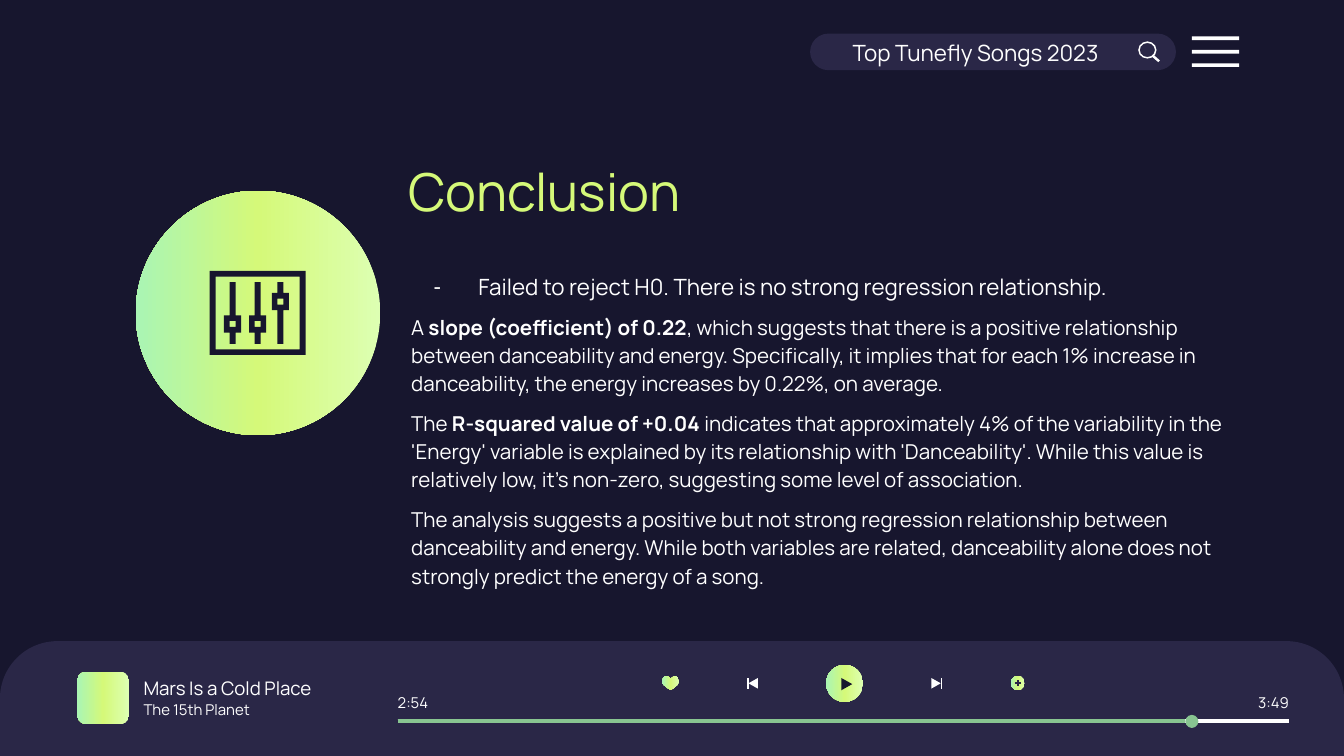
"""Build the conclusion slide styled as a music player."""
from copy import deepcopy

from lxml import etree
from pptx import Presentation
from pptx.dml.color import RGBColor
from pptx.enum.shapes import MSO_CONNECTOR, MSO_SHAPE
from pptx.enum.text import MSO_ANCHOR, MSO_AUTO_SIZE, PP_ALIGN
from pptx.oxml.ns import qn
from pptx.util import Pt

NIGHT = RGBColor(0x17, 0x16, 0x2E)
PANEL = RGBColor(0x2A, 0x27, 0x47)
WHITE = RGBColor(0xFF, 0xFF, 0xFF)
LIME = RGBColor(0xD5, 0xF9, 0x79)
GREEN = RGBColor(0x88, 0xC5, 0x91)
GRADIENT = [(0, RGBColor(0xDD, 0xFF, 0xB2)), (0.5, LIME), (1, RGBColor(0xA9, 0xF5, 0xB4))]
FONT = "Manrope"
RECTANGLE, ROUNDED, OVAL = MSO_SHAPE.RECTANGLE, MSO_SHAPE.ROUNDED_RECTANGLE, MSO_SHAPE.OVAL
TOP_ROUNDED, DONUT = MSO_SHAPE.ROUND_2_SAME_RECTANGLE, MSO_SHAPE.DONUT
STRAIGHT = MSO_CONNECTOR.STRAIGHT
LEFT, CENTER, RIGHT = PP_ALIGN.LEFT, PP_ALIGN.CENTER, PP_ALIGN.RIGHT
TOP, MIDDLE = MSO_ANCHOR.TOP, MSO_ANCHOR.MIDDLE
NO_FIT = MSO_AUTO_SIZE.NONE

deck = Presentation()
deck.slide_width, deck.slide_height = Pt(720), Pt(405)
page = deck.slides.add_slide(deck.slide_layouts[3])
page.background.fill.solid()
page.background.fill.fore_color.rgb = NIGHT


def paint(shape, color):
    """Fill a shape with a colour, or with the gradient when color is GRADIENT."""
    shape.shadow.inherit = False
    shape.line.fill.background()
    if color is not GRADIENT:
        shape.fill.solid()
        shape.fill.fore_color.rgb = color
        return
    shape.fill.gradient()
    stops = shape.element.spPr.find(".//" + qn("a:gsLst"))
    stops.insert(1, deepcopy(stops[0]))
    for stop, (position, stop_color) in zip(shape.fill.gradient_stops, GRADIENT):
        stop.position = position
        stop.color.rgb = stop_color
    shape.fill.gradient_angle = 180


def outline(contours, color):
    """Draw closed contours, given in points, as one filled shape."""
    builder = None
    for contour in contours:
        start, *rest = [(Pt(x), Pt(y)) for x, y in contour]
        if builder is None:
            builder = page.shapes.build_freeform(*start, scale=1)
        else:
            builder.move_to(*start)
        builder.add_line_segments(rest, close=True)
    paint(builder.convert_to_shape(), color)


presets = [
    (ROUNDED, (434, 18, 196, 19.6), [0.5], PANEL),
    (DONUT, (609.8, 22.2, 9.8, 9.2), [0.09], WHITE),
    (TOP_ROUNDED, (0, 343.5, 720, 61.5), [0.5, 0], PANEL),
    (ROUNDED, (41.4, 360, 27.8, 27.8), [0.167], GRADIENT),
    (OVAL, (541.5, 362.2, 7.5, 7.5), [], GRADIENT),
    (OVAL, (442.6, 356.2, 19.8, 19.8), [], GRADIENT),
    (OVAL, (72.7, 102.2, 131, 131), [], GRADIENT),
]
presets += [(RECTANGLE, (638.5, 19.5 + 7.2 * row, 25.4, 2), [], WHITE) for row in range(3)]
for kind, bounds, adjustments, color in presets:
    shape = page.shapes.add_shape(kind, *map(Pt, bounds))
    for index, value in enumerate(adjustments):
        shape.adjustments[index] = value
    paint(shape, color)

outline([[(618, 29.4), (617, 30.3), (620.5, 33.3), (621.4, 32.4)]], WHITE)
outline([[(450.7, 363.2), (450.7, 369.8), (456.6, 366.5)]], NIGHT)

half_heart = [(0, 1.5), (1.4, 0.3), (2.6, 0), (3.9, 0.8), (4.5, 2.3), (4.4, 3.9),
              (3.5, 4.9), (1.9, 6.2), (0, 7.4)]
heart = half_heart + [(-x, y) for x, y in half_heart[-2:0:-1]]
outline([[(359.3 + x, 362.2 + y) for x, y in heart]], GRADIENT)

for bar, base, tip in [(504.4, 499, 504), (400.8, 406, 401)]:
    outline([[(base, 363.3), (base, 368.9), (tip, 366.1)]], WHITE)
    outline([[(bar - 0.5, 363.3), (bar - 0.5, 368.9), (bar + 0.5, 368.9), (bar + 0.5, 363.3)]], WHITE)

outline([[(112.4, 145.2), (163.7, 145.2), (163.7, 190.2), (112.4, 190.2)],
         [(115.5, 148.2), (115.5, 187.2), (160.6, 187.2), (160.6, 148.2)]], NIGHT)
stem, knob = 1.6, 4.6
for x, y in [(124.6, 173.6), (138, 173.6), (150.2, 161.6)]:
    right = [(x + stem, 151.2), (x + stem, y - knob), (x + knob, y - knob),
             (x + knob, y + knob), (x + stem, y + knob), (x + stem, 184.3)]
    left = [(2 * x - side, level) for side, level in reversed(right)]
    hole = [(x - stem, y - stem), (x - stem, y + stem), (x + stem, y + stem), (x + stem, y - stem)]
    outline([right + left, hole], NIGHT)

for ends, color, width in [
    ((545.3, 364.4, 545.3, 367.5), PANEL, 0.75),
    ((543.7, 366, 546.9, 366), PANEL, 0.75),
    ((213.1, 386.5, 690.5, 386.5), WHITE, 2.25),
    ((213.1, 386.5, 635, 386.5), GREEN, 2.25),
]:
    line = page.shapes.add_connector(STRAIGHT, *map(Pt, ends))
    line.line.color.rgb = color
    line.line.width = Pt(width)
    etree.SubElement(line.element.spPr, qn("a:effectLst"))
paint(page.shapes.add_shape(OVAL, Pt(635), Pt(383), Pt(7), Pt(7)), GREEN)

for bounds, text, size, side_inset, align in [
    ((69.8, 362.4, 137.5, 12.2), "Mars Is a Cold Place", 10, 7.2, LEFT),
    ((69.8, 373.9, 82.8, 12.2), "The 15th Planet", 8, 7.2, LEFT),
    ((213.1, 370.3, 19.4, 12.2), "2:54", 8, 0, LEFT),
    ((671.1, 370.3, 19.4, 12.2), "3:49", 8, 0, RIGHT),
]:
    frame = page.shapes.add_textbox(*map(Pt, bounds)).text_frame
    frame.word_wrap = True
    frame.vertical_anchor = MIDDLE
    frame.margin_left = frame.margin_right = Pt(side_inset)
    frame.margin_top = frame.margin_bottom = Pt(7.2)
    para = frame.paragraphs[0]
    para.alignment = align
    span = para.add_run()
    span.text = text
    span.font.name, span.font.size, span.font.color.rgb = FONT, Pt(size), WHITE

title_paras = [(28, 1, 0, 0, None, ["Conclusion"])]
header_paras = [(12, 1.15, 36, 0, None, ["Top Tunefly Songs 2023"])]
body_paras = [
    (12, 2, 36, -24, "-", ["Failed to reject H0. There is no strong regression relationship."]),
    (11, 1.15, 0, 0, None, [
        "A ", "slope (coefficient) of 0.22",
        ", which suggests that there is a positive relationship between danceability and energy. "
        "Specifically, it implies that for each 1% increase in danceability, the energy increases "
        "by 0.22%, on average."]),
    (11, 1.15, 0, 0, None, [
        "The ", "R-squared value of +0.04",
        " indicates that approximately 4% of the variability in the 'Energy' variable is explained "
        "by its relationship with 'Danceability'. While this value is relatively low, it's "
        "non-zero, suggesting some level of association."]),
    (11, 1.15, 0, 0, None, [
        "The analysis suggests a positive but not strong regression relationship between "
        "danceability and energy. While both variables are related, danceability alone does not "
        "strongly predict the energy of a song."]),
]
title, body, header = list(page.placeholders)[:3]
for box, bounds, anchor, align, color, paras in [
    (title, (211.7, 79.2, 229, 45.4), MIDDLE, LEFT, LIME, title_paras),
    (body, (213.1, 124.6, 463, 211), TOP, LEFT, WHITE, body_paras),
    (header, (408.2, 13.7, 193, 26.6), MIDDLE, CENTER, WHITE, header_paras),
]:
    box.left, box.top, box.width, box.height = map(Pt, bounds)
    box.element.getparent().append(box.element)
    frame = box.text_frame
    frame.word_wrap = True
    frame.auto_size = NO_FIT
    frame.vertical_anchor = anchor
    frame.margin_left = frame.margin_right = frame.margin_top = frame.margin_bottom = Pt(7.2)
    for index, (size, spacing, margin, indent, bullet, texts) in enumerate(paras):
        para = frame.add_paragraph() if index else frame.paragraphs[0]
        para.alignment = align
        para.line_spacing = spacing
        para.space_before = Pt(6 if index else 0)
        properties = para._p.get_or_add_pPr()
        properties.set("marL", str(Pt(margin)))
        properties.set("indent", str(Pt(indent)))
        if bullet:
            etree.SubElement(properties, qn("a:buChar")).set("char", bullet)
        else:
            etree.SubElement(properties, qn("a:buNone"))
        for position, text in enumerate(texts):
            span = para.add_run()
            span.text = text
            span.font.name, span.font.size, span.font.color.rgb = FONT, Pt(size), color
            span.font.bold = position == 1

deck.save("out.pptx")
